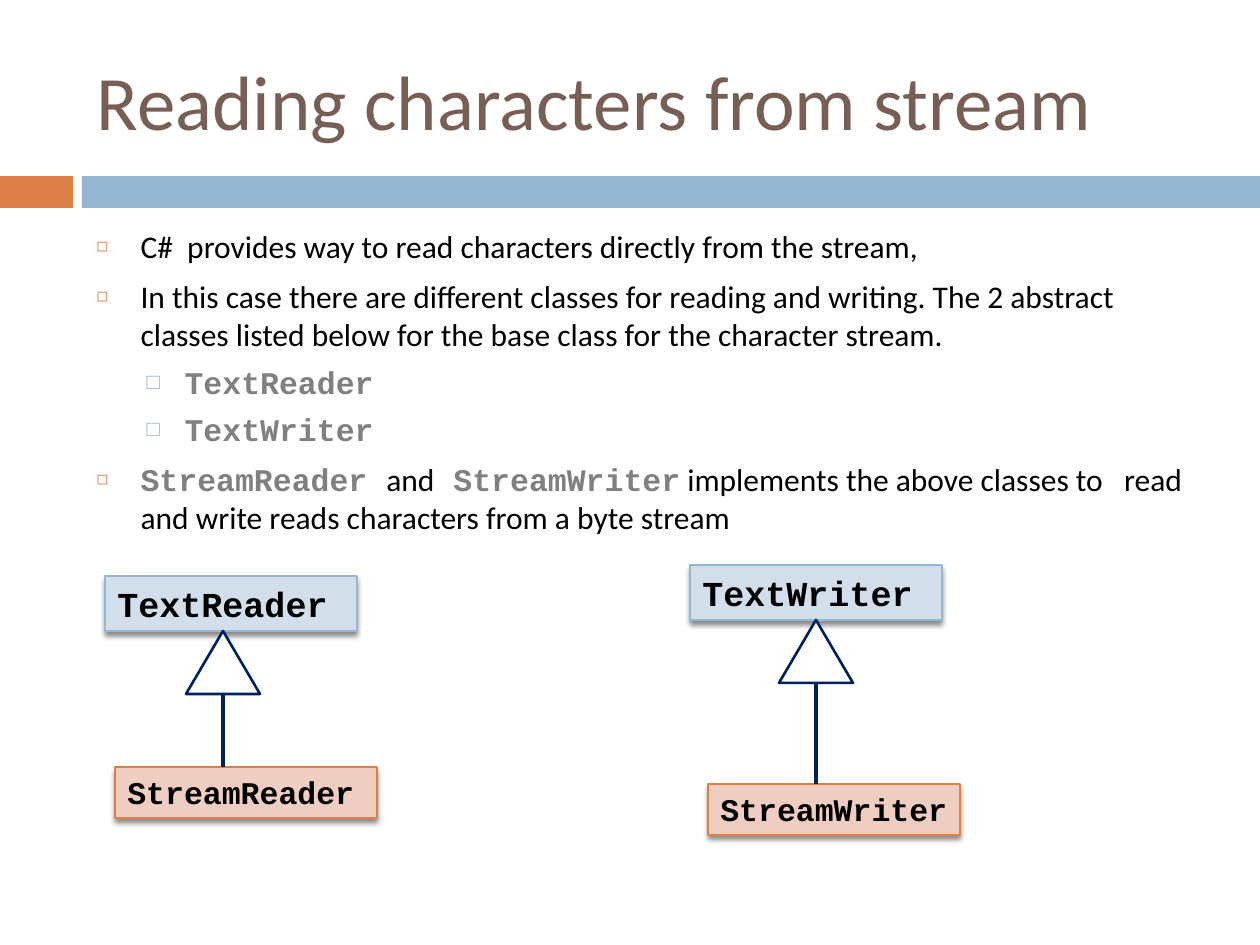
from lxml.etree import SubElement
from pptx import Presentation
from pptx.dml.color import RGBColor
from pptx.enum.shapes import MSO_CONNECTOR, MSO_SHAPE
from pptx.enum.text import MSO_ANCHOR, MSO_AUTO_SIZE, PP_ALIGN
from pptx.oxml.ns import qn
from pptx.util import Inches, Pt

EMU_PER_PX = 914400 / 126
COLORS = {
    "title": "775F55", "text": "000000", "code": "808080", "white": "FFFFFF",
    "orange": "DD8047", "blue": "94B6D2",
    "base_fill": "D2DEEA", "derived_fill": "EFCDC1", "navy": "002060",
}
TEXT_FONT, CODE_FONT = "Calibri", "Courier New"

# Per level: left indent, hanging indent, space before, bullet, its colour and size
LEVELS = [
    (44, 44, 7, "◻", "orange", 60),
    (88, 38, 5.5, "□", "blue", 70),
]
# Each item: level, then runs of (text, is_code)
ITEMS = [
    (0, [("C#  provides way to read characters directly from the stream,", False)]),
    (0, [("In this case there are different classes for reading and writing. "
          "The 2 abstract classes listed below for the base class for the "
          "character stream.", False)]),
    (1, [("TextReader", True)]),
    (1, [("TextWriter", True)]),
    (0, [("StreamReader ", True), ("and", False), (" StreamWriter", True),
         (" implements the above classes to   read and write reads characters "
          "from a byte stream", False)]),
]


def px(length):
    return round(length * EMU_PER_PX)


def color(name):
    return RGBColor.from_string(COLORS[name])


def place(shape, box):
    shape.left, shape.top, shape.width, shape.height = map(px, box)


def add_run(paragraph, text, size, font_name, color_name, bold=False):
    run = paragraph.add_run()
    run.text = text
    run.font.size = Pt(size)
    run.font.name = font_name
    run.font.bold = bold
    run.font.color.rgb = color(color_name)


def add_filled_shape(shapes, kind, box, fill, line=None, line_width=0.75):
    shape = shapes.add_shape(kind, *map(px, box))
    shape.shadow.inherit = False
    shape.fill.solid()
    shape.fill.fore_color.rgb = color(fill)
    if line:
        shape.line.color.rgb = color(line)
        shape.line.width = Pt(line_width)
    else:
        shape.line.fill.background()
    return shape


def add_drop_shadow(shape):
    effects = shape._element.spPr.find(qn("a:effectLst"))
    shadow = SubElement(effects, qn("a:outerShdw"), blurRad=str(Pt(3)),
                        dist=str(Pt(2.4)), dir="5400000", algn="ctr", rotWithShape="0")
    shade = SubElement(shadow, qn("a:srgbClr"), val=COLORS["text"])
    SubElement(shade, qn("a:alpha"), val="45000")


def set_level(paragraph, level):
    """Give the paragraph the indent, spacing and bullet of its level."""
    left, hanging, space, bullet, bullet_color, percent = LEVELS[level]
    paragraph.level = level
    properties = paragraph._p.get_or_add_pPr()
    properties.set("marL", str(px(left)))
    properties.set("indent", str(-px(hanging)))
    bullet_fill = SubElement(properties, qn("a:buClr"))
    SubElement(bullet_fill, qn("a:srgbClr"), val=COLORS[bullet_color])
    SubElement(properties, qn("a:buSzPct"), val=str(percent * 1000))
    SubElement(properties, qn("a:buChar"), char=bullet)
    paragraph.space_before = Pt(space)


def add_band(slide, box):
    left, top, width, height = box
    accent, gap = 73, 9
    add_filled_shape(slide.shapes, MSO_SHAPE.RECTANGLE,
                     (left, top, accent, height), "orange")
    add_filled_shape(slide.shapes, MSO_SHAPE.RECTANGLE,
                     (left + accent + gap, top, width - accent - gap, height), "blue")


def fill_title(slide, box, text):
    title = slide.shapes.title
    place(title, box)
    frame = title.text_frame
    frame.auto_size = MSO_AUTO_SIZE.NONE
    frame.vertical_anchor = MSO_ANCHOR.MIDDLE
    paragraph = frame.paragraphs[0]
    paragraph.alignment = PP_ALIGN.LEFT
    add_run(paragraph, text, 44, TEXT_FONT, "title")


def fill_body(slide, box):
    body = slide.placeholders[1]
    place(body, box)
    frame = body.text_frame
    frame.auto_size = MSO_AUTO_SIZE.NONE
    for index, (level, runs) in enumerate(ITEMS):
        paragraph = frame.add_paragraph() if index else frame.paragraphs[0]
        set_level(paragraph, level)
        if index == 0:
            paragraph.space_before = Pt(0)
        for text, is_code in runs:
            if is_code:
                add_run(paragraph, text, 18, CODE_FONT, "code", bold=True)
            else:
                add_run(paragraph, text, 18, TEXT_FONT, "text")


def add_class_box(shapes, box, name, size, fill, line):
    shape = add_filled_shape(shapes, MSO_SHAPE.RECTANGLE, box, fill, line)
    add_drop_shadow(shape)
    frame = shape.text_frame
    frame.word_wrap = True
    frame.auto_size = MSO_AUTO_SIZE.SHAPE_TO_FIT_TEXT
    frame.vertical_anchor = MSO_ANCHOR.TOP
    frame.margin_right = 0
    paragraph = frame.paragraphs[0]
    paragraph.alignment = PP_ALIGN.LEFT
    add_run(paragraph, name, size, CODE_FONT, "text", bold=True)


def add_inheritance(slide, box, base, derived, derived_left, derived_width, arrow_left):
    """Draw a base class above its derived class, joined by a hollow arrow."""
    left, top, width, height = box
    base_height, derived_height = 55, 51
    arrow_width, arrow_height = 74, 63
    derived_top = top + height - derived_height
    arrow_top = top + base_height
    middle = left + arrow_left + arrow_width // 2

    shapes = slide.shapes.add_group_shape().shapes
    add_class_box(shapes, (left, top, width, base_height),
                  base, 20, "base_fill", "blue")
    add_class_box(shapes, (left + derived_left, derived_top, derived_width, derived_height),
                  derived, 18, "derived_fill", "orange")
    add_filled_shape(shapes, MSO_SHAPE.ISOSCELES_TRIANGLE,
                     (left + arrow_left, arrow_top, arrow_width, arrow_height),
                     "white", "navy", 1.5)
    stem = shapes.add_connector(MSO_CONNECTOR.STRAIGHT, px(middle),
                                px(arrow_top + arrow_height), px(middle), px(derived_top))
    stem.line.color.rgb = color("navy")
    stem.line.width = Pt(2.25)
    SubElement(stem._element.spPr, qn("a:effectLst"))


def main():
    presentation = Presentation()
    presentation.slide_width, presentation.slide_height = Inches(10), Inches(7.5)
    slide = presentation.slides.add_slide(presentation.slide_layouts[1])
    add_band(slide, (0, 176, 1260, 32))
    fill_title(slide, (84, 32, 1124, 136), "Reading characters from stream")
    fill_body(slide, (84, 221, 1124, 620))
    add_inheritance(slide, (105, 576, 252, 242), "TextReader", "StreamReader",
                    derived_left=10, derived_width=262, arrow_left=81)
    add_inheritance(slide, (690, 565, 252, 270), "TextWriter", "StreamWriter",
                    derived_left=18, derived_width=252, arrow_left=89)
    presentation.save("out.pptx")


if __name__ == "__main__":
    main()
